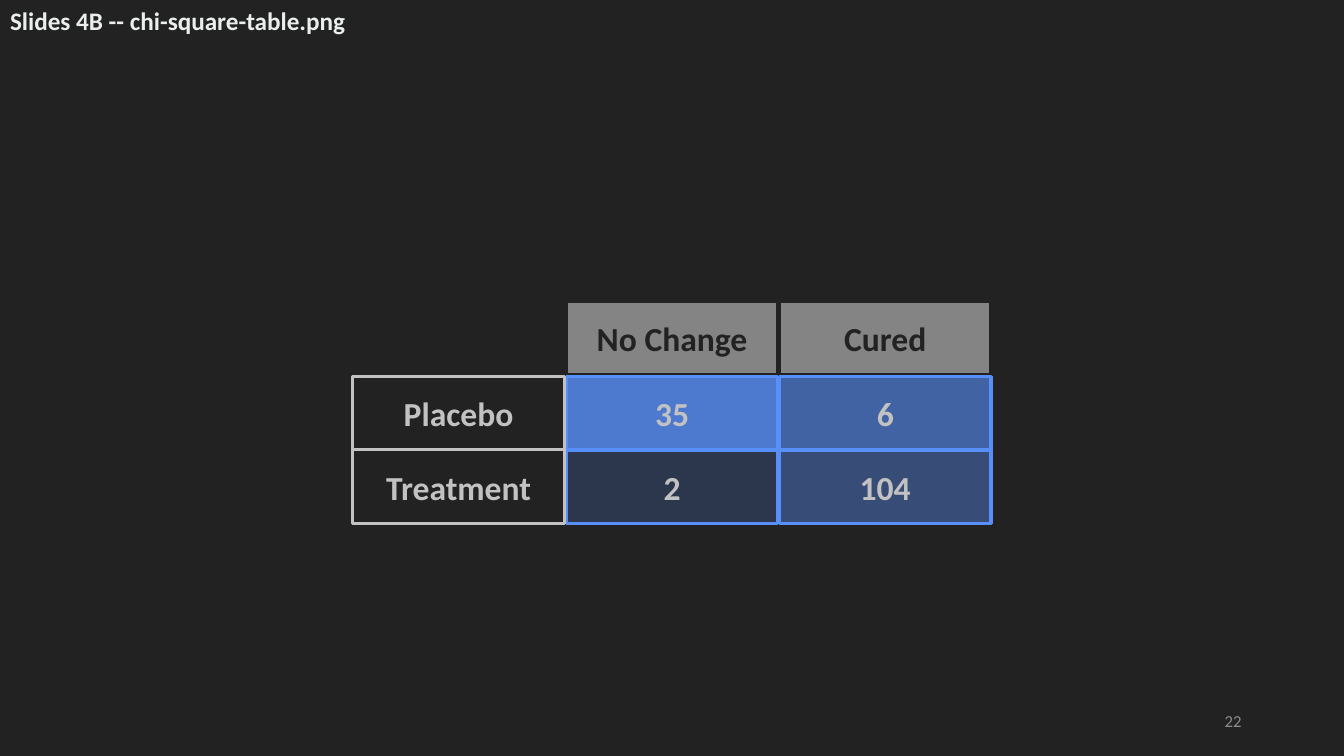
from lxml import etree
from pptx import Presentation
from pptx.dml.color import RGBColor
from pptx.enum import shapes, text
from pptx.oxml.ns import qn
from pptx.util import Pt

DARK = RGBColor(0x22, 0x22, 0x22)
HEADER_GRAY = RGBColor(0x84, 0x84, 0x84)
NUMBER_GRAY = RGBColor(0x8C, 0x8C, 0x8C)
LIGHT_GRAY = RGBColor(0xC2, 0xC2, 0xC2)
TITLE_WHITE = RGBColor(0xEB, 0xEE, 0xEE)
BLUE = RGBColor(0x58, 0x8F, 0xF9)

TITLE = "Slides 4B -- chi-square-table.png"
PAGE_NUMBER = "22"
OUTCOMES = ["No Change", "Cured"]
# group, then (count, opacity in percent) for each outcome
GROUPS = [
    ("Placebo", [("35", 80), ("6", 60)]),
    ("Treatment", [("2", 20), ("104", 40)]),
]

COLUMN_LEFTS = [252, 404.5, 556.75]
ROW_TOPS = [215.3, 269, 321.4]
CELL_WIDTH, CELL_HEIGHT = 151.2, 52.5


def write(shape, words, size, color, bold, align, anchor):
    frame = shape.text_frame
    frame.word_wrap = True
    frame.vertical_anchor = anchor
    para = frame.paragraphs[0]
    para.text = words
    para.alignment = align
    font = para.font
    font.name, font.size, font.bold = "Calibri", Pt(size), bold
    font.color.rgb = color


def add_cell(table, row, column, words, fill, line, color, opacity=100):
    cell = table.shapes.add_shape(
        shapes.MSO_SHAPE.RECTANGLE, Pt(COLUMN_LEFTS[column]), Pt(ROW_TOPS[row]),
        Pt(CELL_WIDTH), Pt(CELL_HEIGHT))
    cell.shadow.inherit = False
    cell.fill.solid()
    cell.fill.fore_color.rgb = fill
    if opacity < 100:
        fill_color = cell._element.spPr.find(qn("a:solidFill"))[0]
        etree.SubElement(fill_color, qn("a:alpha")).set("val", str(opacity * 1000))
    cell.line.color.rgb = line
    cell.line.width = Pt(2.25)
    write(cell, words, 24, color, True, text.PP_ALIGN.CENTER, text.MSO_ANCHOR.MIDDLE)


deck = Presentation()
deck.slide_width, deck.slide_height = Pt(960), Pt(540)
page = deck.slides.add_slide(deck.slide_layouts[5])
page.background.fill.solid()
page.background.fill.fore_color.rgb = DARK

title = page.shapes.title
title.left, title.top, title.width, title.height = Pt(0), Pt(0), Pt(452), Pt(29)
write(title, TITLE, 18, TITLE_WHITE, True, text.PP_ALIGN.LEFT, text.MSO_ANCHOR.TOP)
title.text_frame.auto_size = text.MSO_AUTO_SIZE.SHAPE_TO_FIT_TEXT

number = page.shapes.add_textbox(Pt(678), Pt(500.5), Pt(216), Pt(28.75))
write(number, PAGE_NUMBER, 12, NUMBER_GRAY, False,
      text.PP_ALIGN.RIGHT, text.MSO_ANCHOR.MIDDLE)

table = page.shapes.add_group_shape()
for column, outcome in enumerate(OUTCOMES, 1):
    add_cell(table, 0, column, outcome, HEADER_GRAY, DARK, DARK)
for column in range(1, len(OUTCOMES) + 1):
    for row, (group, counts) in enumerate(GROUPS, 1):
        count, opacity = counts[column - 1]
        add_cell(table, row, column, count, BLUE, BLUE, LIGHT_GRAY, opacity)
for row, (group, counts) in enumerate(GROUPS, 1):
    add_cell(table, row, 0, group, DARK, LIGHT_GRAY, LIGHT_GRAY)

deck.save("out.pptx")
